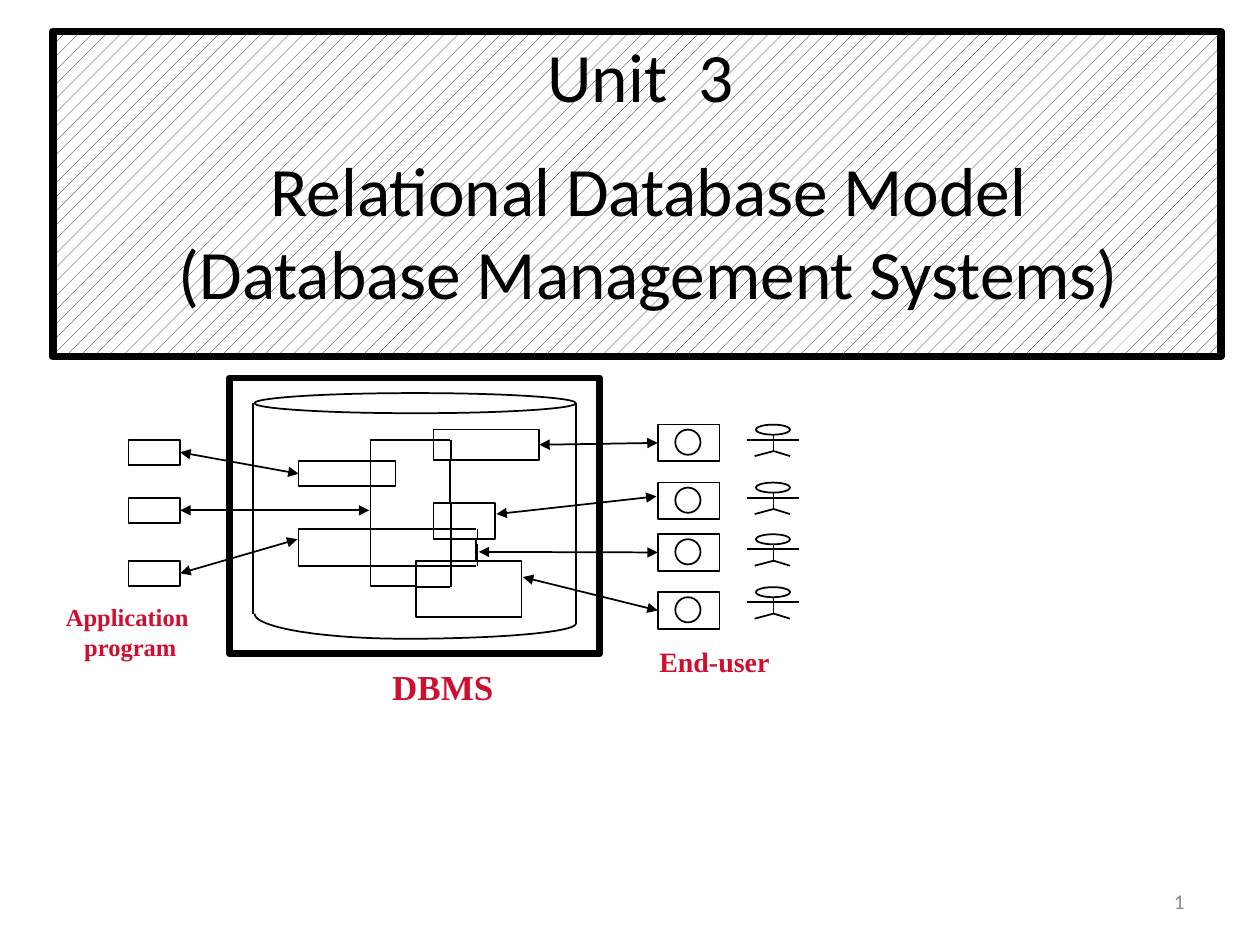
import math

import pptx
import pptx.dml.color
import pptx.enum.dml
import pptx.enum.shapes
import pptx.enum.text
import pptx.oxml
import pptx.oxml.ns
import pptx.util
from lxml import etree

Inches = pptx.util.Inches
Pt = pptx.util.Pt
SHAPE = pptx.enum.shapes.MSO_SHAPE
ALIGN = pptx.enum.text.PP_ALIGN
ANCHOR = pptx.enum.text.MSO_ANCHOR
BLACK, WHITE, RED, GRAY = "000000", "FFFFFF", "CF0E30", "8C8C8C"
LEFT, RIGHT = 1, 3

PROGRAM_TOPS = [3.49, 3.95, 4.45]
# (top of terminal, top of person)
USER_TOPS = [(3.37, 3.37), (3.83, 3.83), (4.24, 4.24), (4.70, 4.66)]
# Each table is followed by the hidden edges of its neighbours drawn across it.
TABLES = {
    "tall": ((2.94, 3.49, 0.63, 1.16), []),
    "upper left": ((2.37, 3.66, 0.77, 0.2), []),
    "lower left": ((2.37, 4.2, 1.41, 0.29), [
        (2.94, 3.66, 2.94, 3.86), (2.94, 4.2, 2.94, 4.49),
        (3.58, 4.2, 3.58, 4.41)]),
    "middle": ((3.44, 3.99, 0.49, 0.29), [
        (3.44, 4.2, 3.78, 4.2), (3.79, 4.2, 3.79, 4.28),
        (3.58, 3.99, 3.58, 4.28)]),
    "bottom": ((3.3, 4.45, 0.84, 0.45), [
        (3.3, 4.49, 3.78, 4.49), (3.79, 4.49, 3.79, 4.32),
        (3.3, 4.66, 3.57, 4.66), (3.58, 4.66, 3.58, 4.32)]),
    "top": ((3.44, 3.41, 0.84, 0.24), [
        (3.44, 3.49, 3.57, 3.49), (3.58, 3.49, 3.58, 3.65)]),
}


def color(hex_value):
    return pptx.dml.color.RGBColor.from_string(hex_value)


def add_outlined(slide, preset, box, width=1):
    """Add a white preset shape with a black outline."""
    shape = slide.shapes.add_shape(preset, *map(Inches, box))
    shape.shadow.inherit = False
    shape.fill.solid()
    shape.fill.fore_color.rgb = color(WHITE)
    shape.line.color.rgb = color(BLACK)
    shape.line.width = Pt(width)
    return shape


def add_line(slide, x1, y1, x2, y2):
    line = slide.shapes.add_connector(
        pptx.enum.shapes.MSO_CONNECTOR.STRAIGHT,
        Inches(x1), Inches(y1), Inches(x2), Inches(y2))
    line.line.color.rgb = color(BLACK)
    line.line.width = Pt(1)
    properties = line.element.spPr
    etree.SubElement(properties, pptx.oxml.ns.qn("a:effectLst"))
    return line


def add_double_arrow(slide, start, end, source=None, target=None):
    """Join source's right side to target's left side where those are given."""
    arrow = add_line(slide, *start, *end)
    if source is not None:
        arrow.begin_connect(source, RIGHT)
    if target is not None:
        arrow.end_connect(target, LEFT)
    outline = arrow.line._get_or_add_ln()
    for end_name in ("a:headEnd", "a:tailEnd"):
        etree.SubElement(outline, pptx.oxml.ns.qn(end_name), type="triangle")


def format_paragraph(paragraph, size, font_name, hex_value, align, bold=False):
    paragraph.alignment = align
    for run in paragraph.runs:
        run.font.size = Pt(size)
        run.font.name = font_name
        run.font.bold = bold
        run.font.color.rgb = color(hex_value)


def add_label(slide, box, text, size):
    label = slide.shapes.add_textbox(*map(Inches, box))
    label.text_frame.word_wrap = False
    label.text_frame.text = text
    for paragraph in label.text_frame.paragraphs:
        format_paragraph(paragraph, size, "Times New Roman", RED, ALIGN.CENTER, True)


def add_title(slide):
    panel = add_outlined(slide, SHAPE.RECTANGLE, (0.42, 0.25, 9.27, 2.58), 4.5)
    panel.fill.patterned()
    panel.fill.pattern = pptx.enum.dml.MSO_PATTERN.PERCENT_10
    panel.fill.fore_color.rgb = color(BLACK)
    panel.fill.back_color.rgb = color(WHITE)

    title = slide.shapes.title
    panel.element.addnext(title.element)
    title.left, title.top, title.width, title.height = map(
        Inches, (0.5, 0.25, 9.17, 2.25))
    frame = title.text_frame
    frame.text = ("Unit  3\n Relational Database Model\n"
                  " (Database Management Systems)")
    frame.word_wrap = True
    frame.auto_size = pptx.enum.text.MSO_AUTO_SIZE.NONE
    frame.vertical_anchor = ANCHOR.MIDDLE
    for paragraph, gap in zip(frame.paragraphs, (0, 18, 0)):
        format_paragraph(paragraph, 39.6, "Calibri", BLACK, ALIGN.CENTER)
        paragraph.space_before = Pt(gap)


def add_cylinder(slide):
    add_outlined(slide, SHAPE.OVAL, (2.02, 3.12, 2.55, 0.16))
    middle, steps = 3.22, 24
    rim = []
    for step in range(2 * steps + 1):
        angle = math.pi * step / (2 * steps)
        rx, y, ry = (1.35, 4.95, 0.12) if step <= steps else (1.2, 4.87, 0.2)
        rim.append((Inches(middle + rx * math.cos(angle)),
                    Inches(y + ry * math.sin(angle))))
    builder = slide.shapes.build_freeform(*rim[0])
    builder.add_line_segments(rim[1:], close=False)
    base = builder.convert_to_shape()
    base.shadow.inherit = False
    base.fill.background()
    base.line.color.rgb = color(BLACK)
    base.line.width = Pt(1)
    add_line(slide, 2.01, 3.2, 2.01, 4.87)
    add_line(slide, 4.57, 3.2, 4.57, 4.95)


def add_terminal(slide, top):
    screen = add_outlined(slide, SHAPE.RECTANGLE, (5.22, top, 0.49, 0.29))
    add_outlined(slide, SHAPE.OVAL, (5.36, top + 0.04, 0.2, 0.2))
    return screen


def add_person(slide, top):
    add_outlined(slide, SHAPE.OVAL, (6, top, 0.27, 0.08))
    add_line(slide, 5.93, top + 0.12, 6.34, top + 0.12)
    add_line(slide, 6.14, top + 0.08, 6.14, top + 0.21)
    for foot in (5.99, 6.27):
        add_line(slide, 6.14, top + 0.21, foot, top + 0.25)


def add_database(slide):
    """Draw the DBMS frame, programs and tables; return programs and tables."""
    add_outlined(slide, SHAPE.RECTANGLE, (1.82, 3, 2.94, 2.19), 4)
    programs = [add_outlined(slide, SHAPE.RECTANGLE, (1.02, top, 0.41, 0.2))
                for top in PROGRAM_TOPS]
    tables = {}
    for name, (box, hidden_edges) in TABLES.items():
        tables[name] = add_outlined(slide, SHAPE.RECTANGLE, box)
        for edge in hidden_edges:
            add_line(slide, *edge)
    add_cylinder(slide)
    return programs, tables


def add_slide_number(slide):
    number = slide.shapes.add_textbox(*map(Inches, (7.17, 6.95, 2.33, 0.4)))
    number.text_frame.word_wrap = True
    number.text_frame.vertical_anchor = ANCHOR.MIDDLE
    number.text_frame.text = "1"
    format_paragraph(number.text_frame.paragraphs[0], 12, "Calibri", GRAY, ALIGN.RIGHT)


def main():
    deck = pptx.Presentation()
    deck.slide_width, deck.slide_height = Inches(10), Inches(7.5)
    slide = deck.slides.add_slide(deck.slide_layouts[0])
    subtitle = slide.placeholders[1].element
    subtitle.getparent().remove(subtitle)

    add_title(slide)
    programs, tables = add_database(slide)
    terminals = []
    for terminal_top, person_top in USER_TOPS:
        terminals.append(add_terminal(slide, terminal_top))
        add_person(slide, person_top)

    arrows = [
        ((1.43, 3.59), (2.37, 3.76), programs[0], tables["upper left"]),
        ((1.43, 4.05), (2.93, 4.05), programs[1], None),
        ((1.43, 4.55), (2.36, 4.28), programs[2], None),
        ((4.28, 3.53), (5.22, 3.52), tables["top"], terminals[0]),
        ((3.94, 4.08), (5.21, 3.94), None, None),
        ((3.8, 4.38), (5.22, 4.38), None, terminals[2]),
        ((4.15, 4.58), (5.22, 4.84), None, terminals[3]),
    ]
    for arrow in arrows:
        add_double_arrow(slide, *arrow)

    add_label(slide, (0.42, 4.73, 1.18, 0.57), "Application\n program", 14)
    add_label(slide, (5.13, 5.07, 1.08, 0.37), "End-user", 16)
    add_label(slide, (3.01, 5.23, 1.01, 0.43), "DBMS", 20)
    add_slide_number(slide)
    deck.save("out.pptx")


if __name__ == "__main__":
    main()
